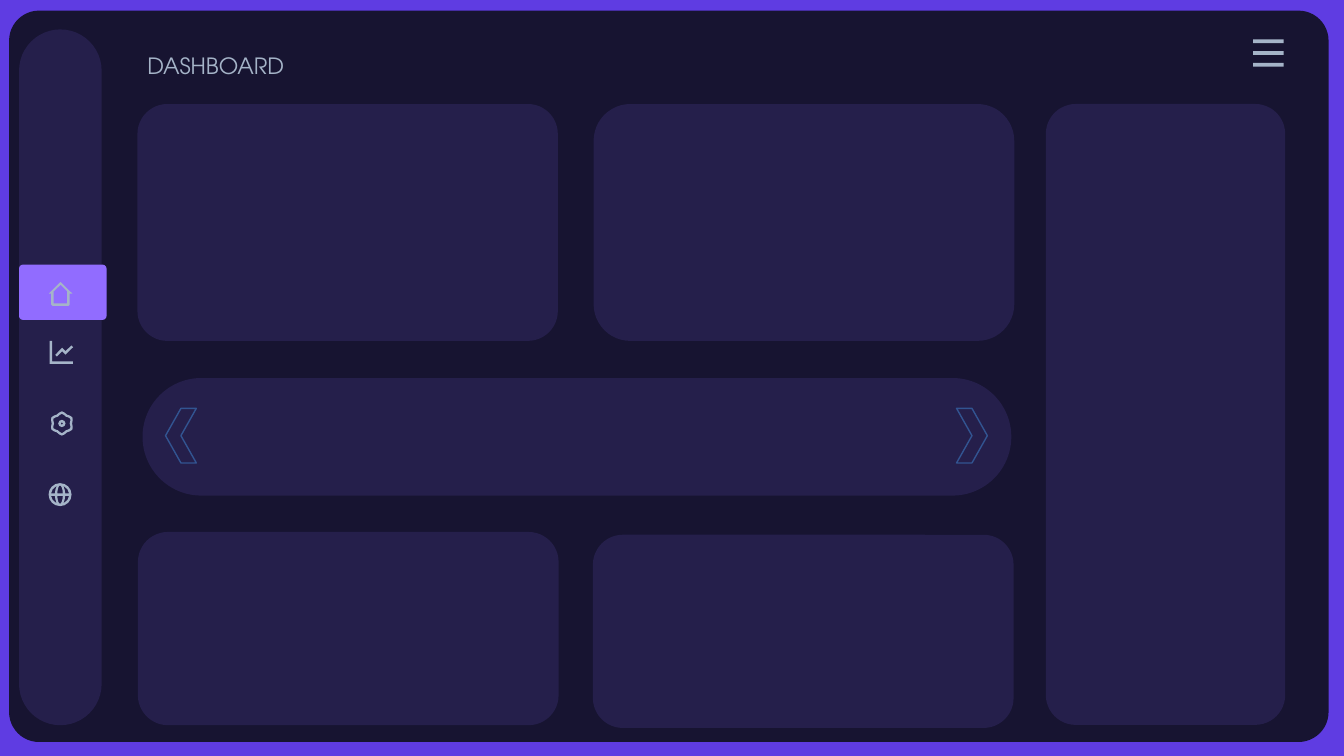
from math import cos, pi, sin, tan
from typing import NamedTuple

from lxml import etree
from pptx import Presentation
from pptx.dml.color import RGBColor
from pptx.enum.shapes import MSO_SHAPE as Shape
from pptx.enum.text import MSO_ANCHOR as Anchor, MSO_AUTO_SIZE as AutoSize, PP_ALIGN as Align
from pptx.oxml.ns import qn
from pptx.util import Pt

FRAME, BACK, PANEL = "5F3CE2", "171431", "251F4B"
ACTIVE, ICON, ARROW = "916CFF", "A5B4C8", "325491"
FONT = "TeX Gyre Adventor"

Point = tuple[float, float]
Outline = list[Point]


class Card(NamedTuple):
    left: float
    top: float
    width: float
    height: float
    corner: float
    fill: str = PANEL


class Icon(NamedTuple):
    left: float
    top: float
    outlines: list[Outline]
    curved: bool = False


def color(value: str) -> RGBColor:
    return RGBColor.from_string(value)


def paint(sp, fill: str) -> None:
    sp.shadow.inherit = False
    sp.fill.solid()
    sp.fill.fore_color.rgb = color(fill)
    sp.line.fill.background()


def draw_card(shapes, card: Card) -> None:
    kind = Shape.ROUNDED_RECTANGLE if card.corner else Shape.RECTANGLE
    sp = shapes.add_shape(kind, Pt(card.left), Pt(card.top), Pt(card.width), Pt(card.height))
    if card.corner:
        sp.adjustments[0] = card.corner
    paint(sp, card.fill)


def bend_lines(sp) -> None:
    lines = list(sp._element.iter(qn("a:lnTo")))
    for i in range(0, len(lines), 3):
        curve = etree.Element(qn("a:cubicBezTo"))
        lines[i].addprevious(curve)
        for line in lines[i:i + 3]:
            curve.append(line[0])
            line.getparent().remove(line)


def draw_icon(shapes, icon: Icon) -> None:
    outlines = [[(Pt(icon.left + x), Pt(icon.top + y)) for x, y in outline]
                for outline in icon.outlines]
    builder = shapes.build_freeform(*outlines[0][0], scale=1.0)
    for i, (first, *rest) in enumerate(outlines):
        if i:
            builder.move_to(*first)
        builder.add_line_segments(rest, close=not icon.curved)
    sp = builder.convert_to_shape()
    if icon.curved:
        bend_lines(sp)
    paint(sp, ICON)


def draw_arrow(shapes, left: float, flipped: bool) -> None:
    sp = shapes.add_shape(Shape.CHEVRON, Pt(left), Pt(291.7), Pt(22), Pt(39))
    sp.shadow.inherit = False
    sp.fill.background()
    sp.line.color.rgb = color(ARROW)
    sp.line.width = Pt(1)
    if flipped:
        sp._element.spPr.xfrm.set("flipH", "1")


def arc(radii: list[float], start: float, end: float, ry: float = 1) -> Outline:
    step = (end - start) / (len(radii) - 1)
    reach = 4 / 3 * tan(step / 4)
    points = []
    for i, r in enumerate(radii):
        a = start + i * step
        for side in (-reach, 0, reach):
            points.append((r * (cos(a) - side * sin(a)), r * ry * (sin(a) + side * cos(a))))
    return points[1:-1]


def circle(radius: float) -> Outline:
    return arc([radius] * 5, 0, 2 * pi)


def gear_rim(valley: float, tooth: float) -> Outline:
    return arc([valley, tooth] * 6 + [valley], 0, 2 * pi)


def globe() -> list[Outline]:
    middle = arc([2] * 3, 0.14, pi - 0.14, 3.25)
    rim, meridian = arc([6.5] * 2, 0.14, 1.1), arc([3.7] * 2, 0.85, 0.12, 2.1)
    side = rim + [rim[-1], meridian[0]] + meridian
    holes = [[(x, y * v) for x, y in middle] for v in (1, -1)]
    holes += [[(x * h, y * v) for x, y in side] for h in (1, -1) for v in (1, -1)]
    return [circle(8.2)] + holes


def menu() -> list[Outline]:
    return [[(0, y), (21.8, y), (21.8, y + 2.6), (0, y + 2.6)] for y in (0, 8.4, 16.8)]


HOUSE = [
    [(1.7, 8.3), (0, 8.3), (8, 0.3), (8.4, 0), (8.8, 0.3), (16.8, 8.3), (14.8, 8.3),
     (14.8, 16.2), (14, 17), (2.6, 17), (1.7, 16.2)],
    [(3.5, 15.3), (13.1, 15.3), (13.1, 6.6), (8.4, 2), (3.5, 6.6)],
]
TREND = [
    [(0, 0), (1.8, 0), (1.8, 14.6), (16.6, 14.6), (16.6, 16.4), (0, 16.4)],
    [(15.6, 3.3), (16.8, 4.5), (11.4, 9.8), (9, 7.4), (5.2, 11.2), (4, 10),
     (9, 4.9), (11.4, 7.3)],
]
GEAR = [gear_rim(7.3, 8.7), gear_rim(5.6, 6.9), circle(2.6), circle(0.9)]

CARDS = [
    Card(0, 0, 960, 540, 0, FRAME),
    Card(6.5, 7.6, 942.5, 522.4, 0.041, BACK),
    Card(13.6, 21, 59, 497, 0.5),
    Card(13.6, 189, 62.5, 39.5, 0.069, ACTIVE),
    Card(98.2, 74.3, 300.3, 169.2, 0.126),
    Card(424, 74.3, 300.5, 169.2, 0.155),
    Card(747, 74.3, 171, 443.5, 0.125),
    Card(98.5, 380, 300.5, 138, 0.155),
    Card(423.5, 382, 300.5, 138, 0.155),
    Card(101.8, 270, 620.6, 84, 0.5),
]
ICONS = [
    Icon(895, 28.2, menu()),
    Icon(34.9, 201.5, HOUSE),
    Icon(35.4, 243.5, TREND),
    Icon(44.2, 302.5, GEAR, True),
    Icon(42.9, 353.3, globe(), True),
]


def draw_title(slide) -> None:
    title = slide.shapes.title
    title.left, title.top, title.width, title.height = Pt(98), Pt(33.3), Pt(178), Pt(26.5)
    tf = title.text_frame
    tf.text = "DASHBOARD"
    tf.word_wrap = True
    tf.auto_size = AutoSize.NONE
    tf.vertical_anchor = Anchor.MIDDLE
    p = tf.paragraphs[0]
    p.alignment = Align.LEFT
    font = p.runs[0].font
    font.name, font.size = FONT, Pt(16)
    font.color.rgb = color(ICON)
    slide.shapes._spTree.append(title._element)


def main() -> None:
    prs = Presentation()
    prs.slide_width, prs.slide_height = Pt(960), Pt(540)
    slide = prs.slides.add_slide(prs.slide_layouts[5])
    for card in CARDS:
        draw_card(slide.shapes, card)
    for icon in ICONS:
        draw_icon(slide.shapes, icon)
    draw_arrow(slide.shapes, 118.3, True)
    draw_arrow(slide.shapes, 683.3, False)
    draw_title(slide)
    prs.save("out.pptx")


if __name__ == "__main__":
    main()
